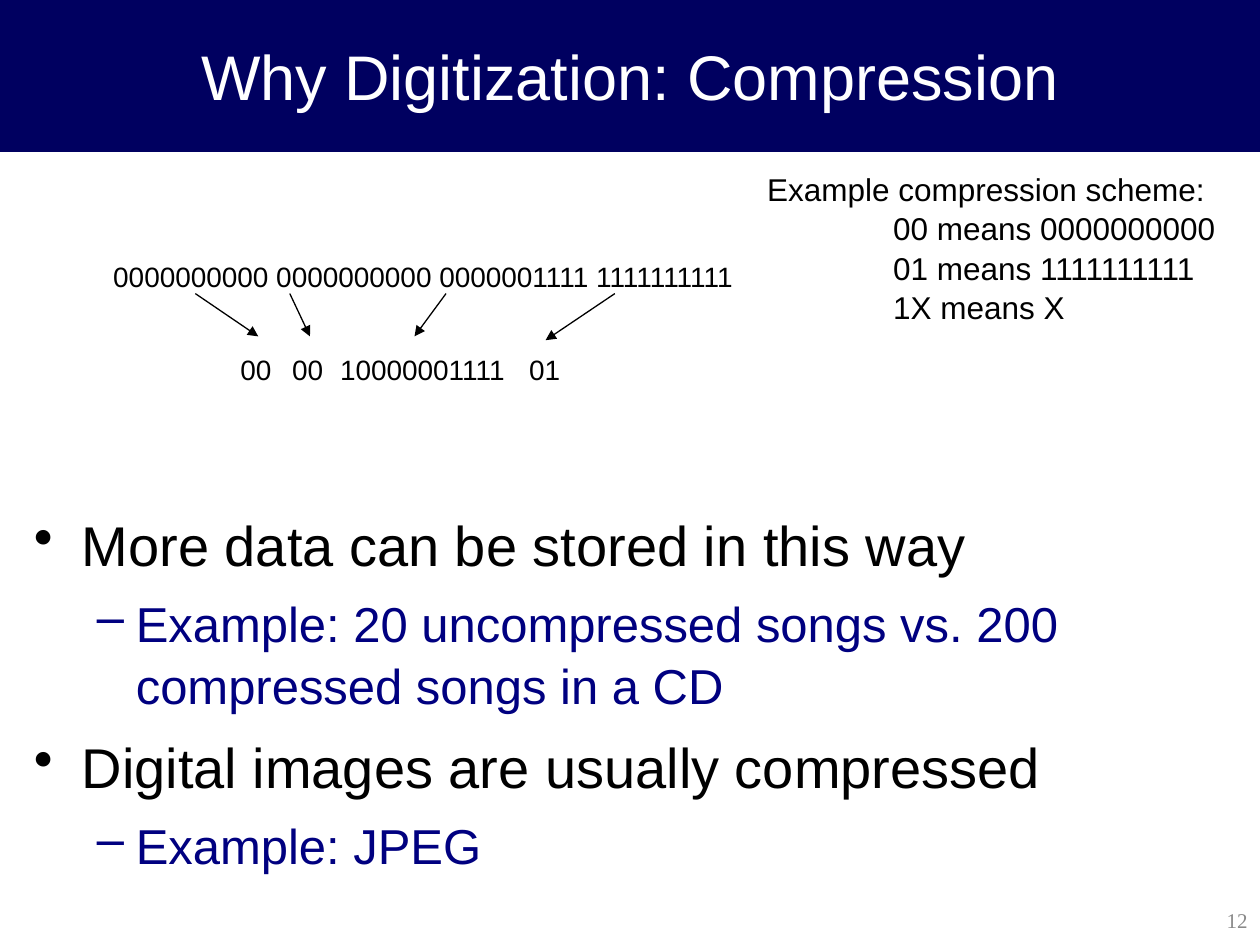
from lxml.etree import SubElement
from pptx import Presentation
from pptx.dml.color import RGBColor
from pptx.enum.shapes import MSO_CONNECTOR as Connector
from pptx.enum.text import MSO_ANCHOR as Anchor, MSO_AUTO_SIZE as AutoSize, PP_ALIGN as Align
from pptx.oxml.ns import qn
from pptx.util import Inches, Pt

NAVY = RGBColor(0x00, 0x00, 0x60)
BLUE = RGBColor(0x00, 0x00, 0x80)
BLACK = RGBColor(0x00, 0x00, 0x00)
WHITE = RGBColor(0xFF, 0xFF, 0xFF)
GRAY = RGBColor(0x89, 0x89, 0x89)

WIDTH, HEIGHT = 10, 7.5
BAND = 0.16 * HEIGHT
LEVELS = [
    {"mark": "•", "left": 0.38, "hang": 0.38, "before": 8, "size": 32, "color": BLACK},
    {"mark": "–", "left": 0.81, "hang": 0.31, "before": 7, "size": 28, "color": BLUE},
]
POINTS = [
    (0, "More data can be stored in this way"),
    (1, "Example: 20 uncompressed songs vs. 200 compressed songs in a CD"),
    (0, "Digital images are usually compressed"),
    (1, "Example: JPEG"),
]
SCHEME = [
    "Example compression scheme:",
    "00 means 0000000000",
    "01 means 1111111111",
    "1X means X",
]
BLOCKS = "0000000000 0000000000 0000001111 1111111111"
CODES = [("00", 1.01, 0.55), ("00", 1.42, 0.55), ("10000001111", 1.8, 1.55), ("01", 3.3, 0.55)]
ARROWS = [(0.75, 1.25, 0.67), (1.5, 1.66, 0.67), (2.74, 2.49, 0.67), (4.08, 3.53, 0.7)]


def style(paragraph, size, color, face="Arial", align=Align.LEFT):
    """Give a paragraph its font and alignment."""
    paragraph.alignment = align
    for name, value in {"name": face, "size": Pt(size), "bold": False}.items():
        setattr(paragraph.font, name, value)
    paragraph.font.color.rgb = color


def add_lines(slide, box, lines, wrap=True):
    """Add a text box with one paragraph for each line and return its frame."""
    frame = slide.shapes.add_textbox(*map(Inches, box)).text_frame
    frame.word_wrap = wrap
    frame.auto_size = AutoSize.NONE
    frame.text = "\n".join(lines)
    return frame


def add_title(slide, box, text):
    """Place the title as a filled band."""
    title = slide.shapes.title
    for side, value in zip(("left", "top", "width", "height"), box):
        setattr(title, side, Inches(value))
    title.fill.solid()
    title.fill.fore_color.rgb = NAVY
    title.line.color.rgb = NAVY
    title.line.width = Pt(0.75)
    title.text_frame.text = text
    title.text_frame.vertical_anchor = Anchor.MIDDLE
    style(title.text_frame.paragraphs[0], 36, WHITE, align=Align.CENTER)


def add_scheme(slide, box):
    """List the code meanings, indented under their heading."""
    for row, paragraph in enumerate(add_lines(slide, box, SCHEME, wrap=False).paragraphs):
        style(paragraph, 18, BLACK)
        paragraph.line_spacing = 1.04
        if row:
            paragraph._p.get_or_add_pPr().set("marL", str(Inches(1)))


def add_arrow(slide, start, end):
    """Draw a thin black arrow."""
    arrow = slide.shapes.add_connector(Connector.STRAIGHT, *map(Inches, start + end))
    arrow.line.color.rgb = BLACK
    arrow.line.width = Pt(0.75)
    SubElement(arrow.line._get_or_add_ln(), qn("a:tailEnd"), type="triangle")
    SubElement(arrow._element.spPr, qn("a:effectLst"))


def add_encoding(slide, box):
    """Show the bit blocks above and the codes they become below."""
    left, top, width, height = box
    row = height / 3
    labels = [(BLOCKS, 0, top, width)]
    labels += [(code, x, top + 2 * row, w) for code, x, w in CODES]
    for text, x, y, w in labels:
        frame = add_lines(slide, (left + x, y, w, row), [text], wrap=False)
        style(frame.paragraphs[0], 16, BLACK)
        frame.paragraphs[0].line_spacing = 1.04
    for x, end_x, drop in ARROWS:
        add_arrow(slide, (left + x, top + 0.33), (left + end_x, top + drop))


def add_points(slide, box):
    """Write the two-level bullet list."""
    frame = add_lines(slide, box, [text for _, text in POINTS])
    for (level, _), paragraph in zip(POINTS, frame.paragraphs):
        look = LEVELS[level]
        style(paragraph, look["size"], look["color"])
        paragraph.level = level
        paragraph.line_spacing = 1.06
        paragraph.space_before = Pt(look["before"] if paragraph._p.getprevious().tag == qn("a:p") else 0)
        properties = paragraph._p.get_or_add_pPr()
        properties.set("marL", str(Inches(look["left"])))
        properties.set("indent", str(-Inches(look["hang"])))
        bullet = SubElement(properties, qn("a:buChar"), char=look["mark"])
        properties.find(qn("a:defRPr")).addprevious(bullet)


def add_page_number(slide, box, number):
    """Set the page number in the lower right corner."""
    frame = add_lines(slide, box, [number])
    frame.vertical_anchor = Anchor.MIDDLE
    style(frame.paragraphs[0], 12, GRAY, "Times New Roman", Align.RIGHT)


def main():
    """Build the slide and save it."""
    deck = Presentation()
    deck.slide_width, deck.slide_height = Inches(WIDTH), Inches(HEIGHT)
    slide = deck.slides.add_slide(deck.slide_layouts[5])
    add_title(slide, (0, 0, WIDTH, BAND), "Why Digitization: Compression")
    add_points(slide, (0.17, 3.97, WIDTH - 2 * 0.17, 3.13))
    add_page_number(slide, (7.88, HEIGHT - 0.4, WIDTH - 7.88, 0.4), "12")
    add_scheme(slide, (5.99, 1.29, 3.76, 1.3))
    add_encoding(slide, (0.8, 2, 5.31, 1.11))
    deck.save("out.pptx")


if __name__ == "__main__":
    main()
